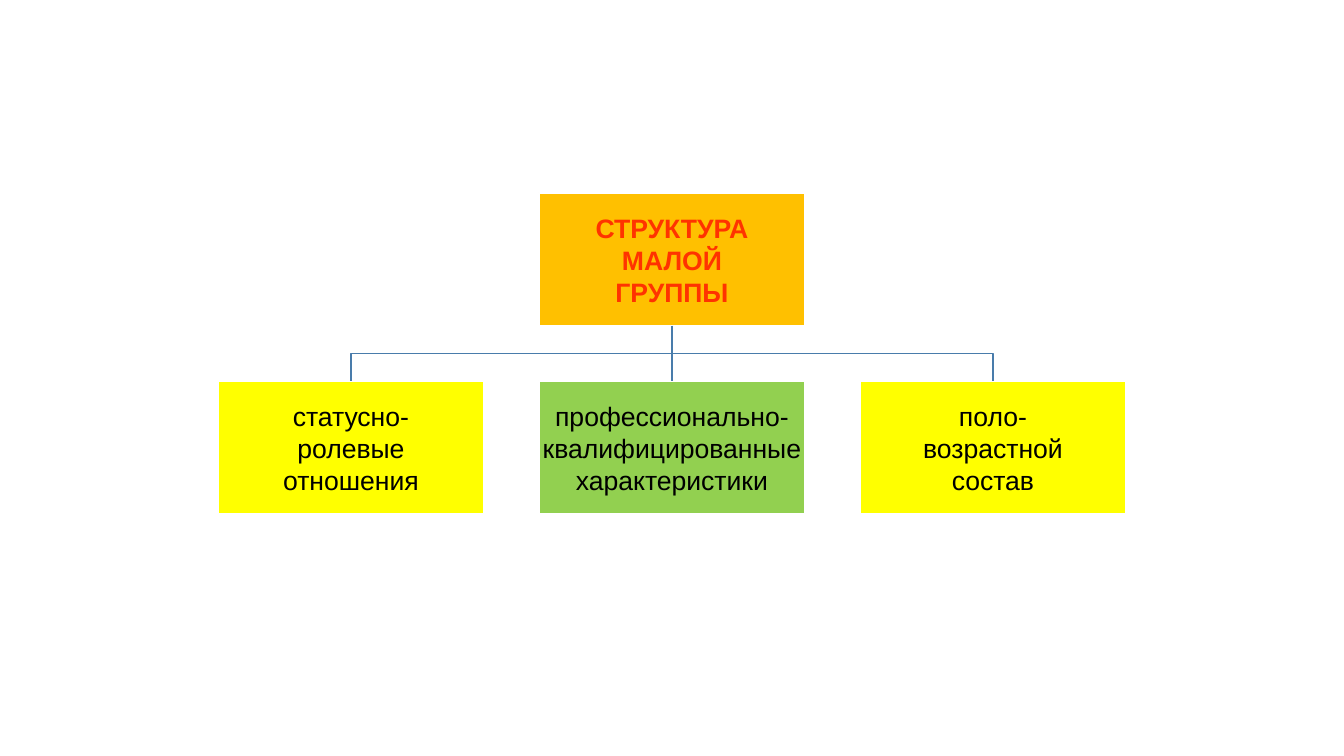
from dataclasses import dataclass

from lxml import etree
from pptx import Presentation
from pptx.dml.color import RGBColor
from pptx.enum.shapes import MSO_CONNECTOR, MSO_SHAPE
from pptx.enum.text import MSO_ANCHOR, PP_ALIGN
from pptx.oxml.ns import qn
from pptx.util import Pt

PX = 9071
RECT = MSO_SHAPE.RECTANGLE
STRAIGHT = MSO_CONNECTOR.STRAIGHT
MIDDLE = MSO_ANCHOR.MIDDLE
CENTER = PP_ALIGN.CENTER
BOTTOM_SITE, TOP_SITE = 2, 0


@dataclass(frozen=True)
class Theme:
    """Colours, font and sizes of the slide."""
    font: str = "Arial"
    size: int = 19
    line_width: int = 1
    root_fill: str = "FFC000"
    root_text: str = "FF3300"
    outer_fill: str = "FFFF00"
    middle_fill: str = "92D050"
    text: str = "000000"
    border: str = "FFFFFF"
    link: str = "497CAB"


THEME = Theme()
ROOT = ["СТРУКТУРА", "МАЛОЙ", "ГРУППЫ"]
BRANCHES = [
    (["статусно-", "ролевые", "отношения"], THEME.outer_fill),
    (["профессионально-", "квалифицированные", "характеристики"], THEME.middle_fill),
    (["поло-", "возрастной", "состав"], THEME.outer_fill),
]


def px(n):
    """Turn pixels into EMU."""
    return round(n * PX)


def set_line(line, color):
    """Give a line its colour and the common width."""
    line.color.rgb = RGBColor.from_string(color)
    line.width = Pt(THEME.line_width)


def add_node(s, box, lines, fill, color=THEME.text, bold=False):
    """Draw one filled rectangle with a centred paragraph per line."""
    sp = s.shapes.add_shape(RECT, *map(px, box))
    sp.shadow.inherit = False
    sp.fill.solid()
    sp.fill.fore_color.rgb = RGBColor.from_string(fill)
    set_line(sp.line, THEME.border)
    tf = sp.text_frame
    tf.word_wrap = True
    tf.vertical_anchor = MIDDLE
    tf.margin_left = tf.margin_right = tf.margin_top = tf.margin_bottom = px(1)
    for i, text in enumerate(lines):
        p = tf.paragraphs[0] if i == 0 else tf.add_paragraph()
        p.text = text
        p.alignment = CENTER
        p.font.name = THEME.font
        p.font.size = Pt(THEME.size)
        p.font.bold = bold
        p.font.color.rgb = RGBColor.from_string(color)
    return sp


def add_link(s, parent, child):
    """Join the parent's bottom to the child's top, with a bend where needed."""
    x1, y1 = parent.left + parent.width // 2, parent.top + parent.height
    x2, y2 = child.left + child.width // 2, child.top
    if x1 == x2:
        link = s.shapes.add_connector(STRAIGHT, x1, y1, x2, y2)
        link.begin_connect(parent, BOTTOM_SITE)
        link.end_connect(child, TOP_SITE)
        etree.SubElement(link._element.spPr, qn("a:effectLst"))
    else:
        mid = (y1 + y2) // 2
        fb = s.shapes.build_freeform(x1, y1)
        fb.add_line_segments([(x1, mid), (x2, mid), (x2, y2)], close=False)
        link = fb.convert_to_shape()
        link.shadow.inherit = False
        link.fill.background()
    set_line(link.line, THEME.link)


def add_tree(s, box, node_w, node_h):
    """Place the root above an evenly spaced row of branches within the box."""
    x, y, w, h = box
    step = (w - node_w) / (len(BRANCHES) - 1)
    root = add_node(s, (x + (w - node_w) / 2, y, node_w, node_h), ROOT,
                    THEME.root_fill, THEME.root_text, bold=True)
    for i, (lines, fill) in enumerate(BRANCHES):
        branch_box = (x + i * step, y + h - node_h, node_w, node_h)
        add_link(s, root, add_node(s, branch_box, lines, fill))


prs = Presentation()
prs.slide_width, prs.slide_height = px(1344), px(756)
s = prs.slides.add_slide(prs.slide_layouts[6])
add_tree(s, (218, 193, 908, 321), 266, 133)
prs.save("out.pptx")
